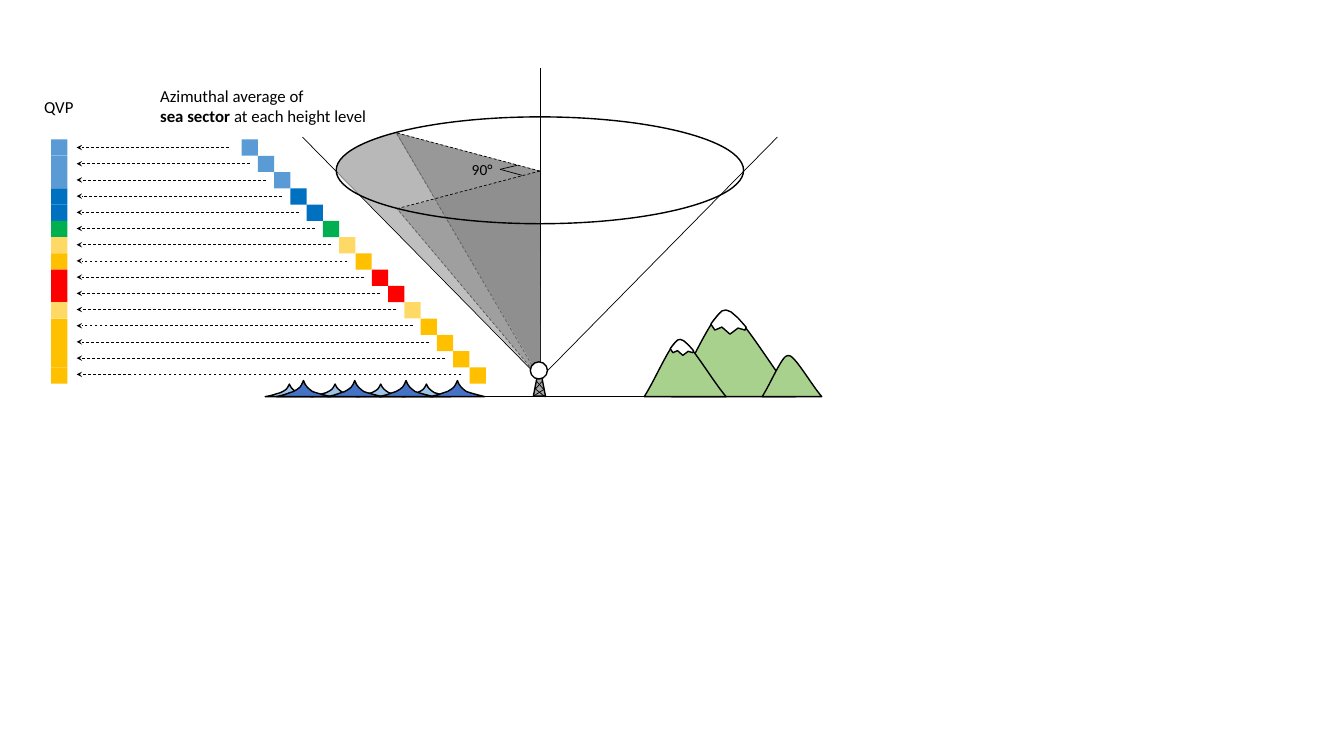
from lxml import etree
from pptx import Presentation
from pptx import util as u
from pptx.dml.color import RGBColor
from pptx.enum import dml, shapes, text
from pptx.oxml.ns import qn

COLORS = {
    "black": "000000", "white": "FFFFFF", "grass": "A9D18E",
    "foam": "9DC3E6", "sea": "4472C4", "mast": "A6A6A6",
    "pale": "E7E6E6", "mid": "808080", "dark": "404040",
    "sky": "5B9BD5", "blue": "0070C0", "green": "00B050",
    "sand": "FFD966", "amber": "FFC000", "red": "FF0000",
}
RGB = {name: RGBColor.from_string(value) for name, value in COLORS.items()}
COLS, ROWS = 1333, 750
CELL = u.Inches(0.01)
GROUND = 393.5

prs = Presentation()
prs.slide_width, prs.slide_height = COLS * CELL, ROWS * CELL
s = prs.slides.add_slide(prs.slide_layouts[6])


def add_outline(points, left, base, fill, wide=1, tall=1, alpha=None):
    segments = [[(int((left + wide * x) * CELL), int((base - tall * y) * CELL))
                 for x, y in zip(point[::2], point[1::2])] for point in points]
    anchors = [segment[-1] for segment in segments]
    builder = s.shapes.build_freeform(*anchors[0])
    builder.add_line_segments(anchors[1:], close=True)
    sp = builder.convert_to_shape()
    straights = list(sp._element.iter(qn("a:lnTo")))
    for segment, straight in zip(segments[1:], straights):
        if len(segment) == 3:
            curve = etree.Element(qn("a:cubicBezTo"))
            for x, y in segment:
                pt = etree.SubElement(curve, qn("a:pt"))
                pt.set("x", str(x - sp.left))
                pt.set("y", str(y - sp.top))
            straight.getparent().replace(straight, curve)
    sp.shadow.inherit = False
    sp.fill.solid()
    sp.fill.fore_color.rgb = RGB[fill]
    if alpha:
        color = sp._element.spPr.find(qn("a:solidFill"))[0]
        etree.SubElement(color, qn("a:alpha")).set("val", str(alpha * 1000))
        sp.line.fill.background()
    else:
        sp.line.color.rgb = RGB["black"]
        sp.line.width = u.Pt(1)


def add_line(x1, y1, x2, y2, dashed=False, arrow=False):
    ends = [int(v * CELL) for v in (x1, y1, x2, y2)]
    cxn = s.shapes.add_connector(shapes.MSO_CONNECTOR.STRAIGHT, *ends)
    cxn.line.color.rgb = RGB["black"]
    cxn.line.width = u.Pt(0.5)
    if dashed:
        cxn.line.dash_style = dml.MSO_LINE.DASH
    if arrow:
        head = etree.SubElement(cxn.line._get_or_add_ln(), qn("a:tailEnd"))
        for name, value in [("type", "stealth"), ("w", "sm"), ("len", "sm")]:
            head.set(name, value)
    etree.SubElement(cxn._element.spPr, qn("a:effectLst"))


MOUNTAIN = [(0, 0), (18, 28, 42, 87, 53, 85), (65, 90, 99, 28, 123, 0)]
SNOW = [(39, 72), (43, 66), (50, 69), (58, 62), (66, 68), (73, 66), (74, 69),
        (66, 78), (59, 84), (54, 86), (50, 85), (47, 82), (42, 76)]
for left, scale, snowy in [(666, 1, True), (639, 0.66, True), (756, 0.48, False)]:
    add_outline(MOUNTAIN, left, GROUND, "grass", scale, scale)
    if snowy:
        add_outline(SNOW, left, GROUND, "white", scale, scale)

RADAR_X, RADAR_Y, CENTRE_Y = 535.5, 375.5, 169.7
for ends in [(303, GROUND, 773, GROUND), (RADAR_X, 375, RADAR_X, 67.6),
             (RADAR_X, RADAR_Y, 771, 136), (300, 136, RADAR_X, RADAR_Y)]:
    add_line(*ends)
for y in (132, 206):
    add_line(535, 375, 393, y, dashed=True)

SECTORS = [
    ("pale", [(-141, 244), (-165, 237), (-170, 235, -171, 234, -177, 232),
              (-183, 228, -185, 228, -190, 224), (-195, 220, -194, 220, -197, 217),
              (-200, 213, -200, 211, -201, 207), (-200, 199, -200, 202, -197, 196),
              (-192, 190, -193, 191, -185, 186), (-177, 182, -176, 181, -168, 178),
              (-141, 169), (0, 206)]),
    ("mid", [(-142, 244), (0, 1), (-201, 205), (-202, 212, -201, 215, -195, 220),
             (-192, 224, -187, 227, -182, 229), (-177, 232, -172, 234, -168, 236),
             (-163, 237, -163, 238, -155, 241)]),
    ("dark", [(-143, 244), (0, 206), (0, 138, 1, 69, 1, 0)]),
    ("mid", [(0, 206), (0, 0), (-142, 168)]),
]
for fill, points in SECTORS:
    add_outline(points, RADAR_X, RADAR_Y, fill, alpha=50)
for y in (207, 132):
    add_line(RADAR_X, CENTRE_Y, 394, y, dashed=True)
for x, y in [(513, 164), (518, 174)]:
    add_line(x, y, 496, 168)

LEVELS = (["sky"] * 3 + ["blue"] * 2 + ["green", "sand", "amber"]
          + ["red"] * 2 + ["sand"] + ["amber"] * 4)
TILE, ARROW_GAP = 16.15, 16.07
for i, level in enumerate(LEVELS):
    x, y = 239.6 + i * TILE, 138.4 + i * TILE
    for left in (50.8, x):
        sp = s.shapes.add_shape(shapes.MSO_SHAPE.RECTANGLE,
                                *[int(v * CELL) for v in (left, y, TILE, TILE)])
        sp.shadow.inherit = False
        sp.fill.solid()
        sp.fill.fore_color.rgb = RGB[level]
        sp.line.fill.background()
    arrow_y = 146.4 + i * ARROW_GAP
    add_line(x - (8 if i else 12.6), arrow_y, 76, arrow_y, dashed=True, arrow=True)

WAVE = [(0, 0), (10, 2, 10, 3, 17, 5), (24, 9, 24, 9, 27, 16),
        (29, 10, 32, 8, 36, 5), (42, 3, 46, 2, 54, 0)]
for fill, left, gap, wide, tall in [("foam", 263, 45.3, 0.89, 0.78),
                                    ("sea", 274, 50.9, 1, 1)]:
    for i in range(4):
        add_outline(WAVE, left + i * gap, GROUND, fill, wide, tall)

for kind, box, fill in [
    (shapes.MSO_SHAPE.ISOSCELES_TRIANGLE, (529, 362, 12, 31), "mast"),
    (shapes.MSO_SHAPE.OVAL, (526, 359, 17, 17), "white"),
    (shapes.MSO_SHAPE.OVAL, (333.5, 116, 404, 106), None),
]:
    sp = s.shapes.add_shape(kind, *[int(v * CELL) for v in box])
    sp.shadow.inherit = False
    sp.line.color.rgb = RGB["black"]
    sp.line.width = u.Pt(1)
    if fill:
        sp.fill.solid()
        sp.fill.fore_color.rgb = RGB[fill]
    else:
        sp.fill.background()
for ends in [(532, 378, 539, 386), (538, 378, 531, 386),
             (540, 386, 529, 393), (530, 385, 541, 394)]:
    add_line(*ends)

LABELS = [
    ((458, 154, 42, 29), 11, False, [[("90°", False)]]),
    ((34, 91, 50, 30), 12, False, [[("QVP", False)]]),
    ((149, 80, 244, 50), 12, True,
     [[("Azimuthal average of", False)],
      [("sea sector ", True), ("at each height level", False)]]),
]
for box, size, wrap, paragraphs in LABELS:
    tf = s.shapes.add_textbox(*[v * CELL for v in box]).text_frame
    tf.word_wrap = wrap
    tf.auto_size = text.MSO_AUTO_SIZE.SHAPE_TO_FIT_TEXT
    for i, runs in enumerate(paragraphs):
        p = tf.add_paragraph() if i else tf.paragraphs[0]
        for words, bold in runs:
            r = p.add_run()
            r.text = words
            r.font.name = "Calibri"
            r.font.size = u.Pt(size)
            r.font.bold = bold
            r.font.color.rgb = RGB["black"]

prs.save("out.pptx")
